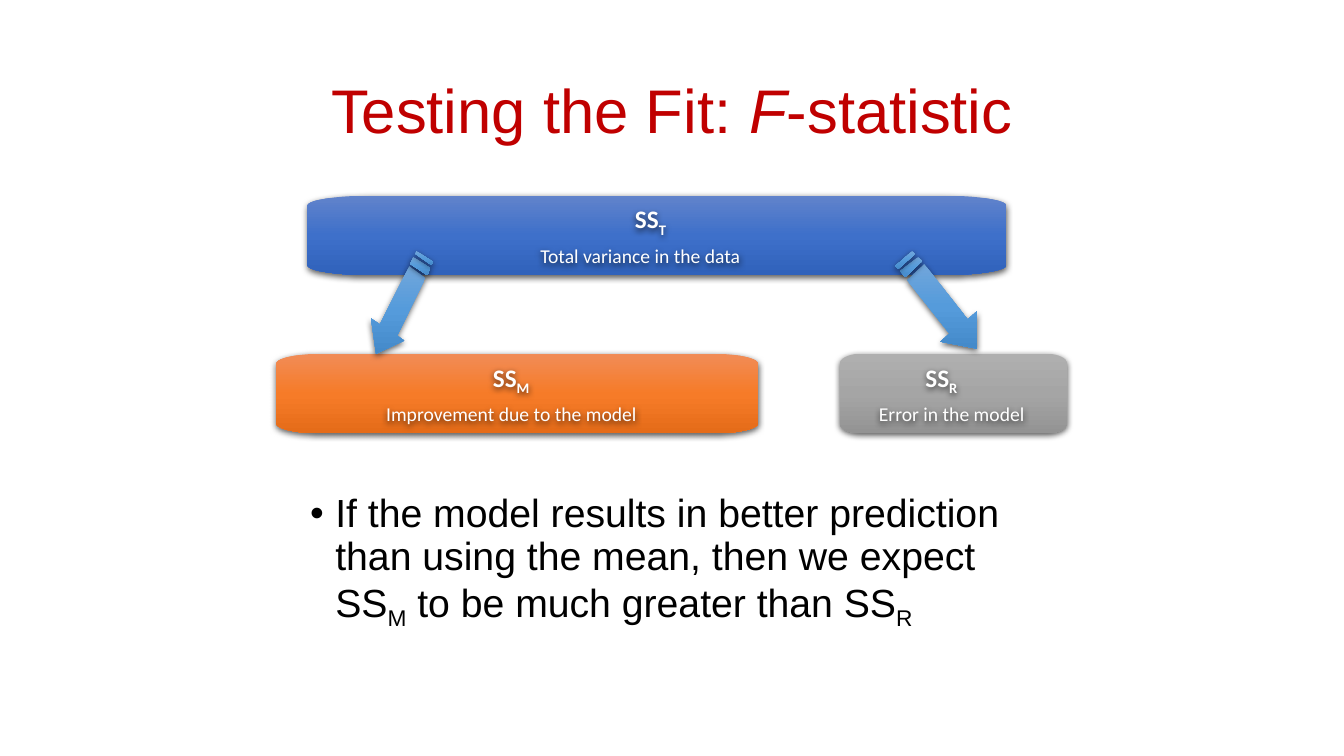
from copy import deepcopy
from math import cos, radians, sin

from lxml import etree
from pptx import Presentation
from pptx.dml.color import RGBColor
from pptx.enum.text import MSO_ANCHOR, PP_ALIGN
from pptx.oxml.ns import qn
from pptx.util import Pt

CENTER, LEFT = PP_ALIGN.CENTER, PP_ALIGN.LEFT
MIDDLE, TOP = MSO_ANCHOR.MIDDLE, MSO_ANCHOR.TOP

RED = RGBColor(0xC0, 0x00, 0x00)
BLACK = RGBColor(0x00, 0x00, 0x00)
WHITE = RGBColor(0xFF, 0xFF, 0xFF)
BLUES = [RGBColor(0x61, 0x83, 0xCB), RGBColor(0x3E, 0x70, 0xCA), RGBColor(0x30, 0x62, 0xBB)]
ORANGES = [RGBColor(0xF1, 0x8C, 0x57), RGBColor(0xF6, 0x7B, 0x28), RGBColor(0xE5, 0x6C, 0x19)]
GRAYS = [RGBColor(0xAF, 0xAF, 0xAF), RGBColor(0xA5, 0xA5, 0xA5), RGBColor(0x93, 0x93, 0x93)]
ARROW_BLUES = [RGBColor(0x71, 0xA6, 0xDB), RGBColor(0x55, 0x9B, 0xDB), RGBColor(0x44, 0x8A, 0xCA)]

BOX_HEIGHT = 56.9
CORNER_HEIGHT = 7.2

presentation = Presentation()
presentation.slide_width, presentation.slide_height = Pt(960), Pt(540)
slide = presentation.slides.add_slide(presentation.slide_layouts[6])


def add_outline(points, colors):
    """Draw a closed outline with a vertical gradient and a soft shadow."""
    corners = [(Pt(x), Pt(y)) for x, y in points]
    builder = slide.shapes.build_freeform(*corners[0])
    builder.add_line_segments(corners[1:], close=True)
    shape = builder.convert_to_shape()
    shape.line.fill.background()
    shape.fill.gradient()
    shape.fill.gradient_angle = 270
    stop_list = shape._element.spPr.find(".//" + qn("a:gsLst"))
    stop_list.append(deepcopy(stop_list[0]))
    for stop, position, color in zip(shape.fill.gradient_stops, (0, 0.5, 1), colors):
        stop.position = position
        stop.color.rgb = color
    add_shadow_to.append(shape)


def add_text(frame, runs, size, color, font="Calibri", bold=False,
             align=LEFT, anchor=TOP, inset=(0, 0), bullet=False):
    """Add a one-paragraph text box; runs are (text, style) pairs."""
    box = slide.shapes.add_textbox(*[Pt(length) for length in frame])
    text_frame = box.text_frame
    text_frame.word_wrap = True
    text_frame.vertical_anchor = anchor
    text_frame.margin_left = text_frame.margin_right = Pt(inset[0])
    text_frame.margin_top = text_frame.margin_bottom = Pt(inset[1])
    paragraph = text_frame.paragraphs[0]
    paragraph.alignment = align
    if font == "Arial":
        paragraph.line_spacing = 0.9
    if bullet:
        properties = paragraph._p.get_or_add_pPr()
        properties.set("marL", str(Pt(18)))
        properties.set("indent", str(-Pt(18)))
        etree.SubElement(properties, qn("a:buFont"), typeface="Arial")
        etree.SubElement(properties, qn("a:buChar"), char="•")
    paragraph.font.name, paragraph.font.size = font, Pt(size)
    paragraph.font.color.rgb, paragraph.font.bold = color, bold
    for text, style in runs:
        run = paragraph.add_run()
        run.text = text
        if style == "italic":
            run.font.italic = True
        elif style == "subscript":
            run._r.get_or_add_rPr().set("baseline", "-25000")
    if font == "Calibri":
        add_shadow_to.append(box)


add_shadow_to = []

# Title and conclusion
add_text((66, 28.8, 828, 104.4),
         [("Testing the Fit: ", ""), ("F", "italic"), ("-statistic", "")],
         44, RED, "Arial", align=CENTER, anchor=MIDDLE, inset=(7.2, 3.6))
add_text((214.5, 349.2, 545, 133.2),
         [("If the model results in better prediction than using the mean, then we expect SS", ""),
          ("M", "subscript"), (" to be much greater than SS", ""), ("R", "subscript")],
         28, BLACK, "Arial", inset=(7.2, 3.6), bullet=True)

# Sum-of-squares boxes: left, top, width, corner width, colours,
# subscript, label left, description, description left, description width
boxes = [
    (599.8, 252.7, 162.7, 15.1, GRAYS, "R", 661, "Error in the model", 627.8, 111.6),
    (197.3, 252.7, 344.2, 32.4, ORANGES, "M", 352.1, "Improvement due to the model", 275.8, 189.4),
    (219.6, 139.7, 499.3, 46.8, BLUES, "T", 453.6, "Total variance in the data", 385.9, 157),
]
for (left, top, width, corner, colors, letter, label_left,
     description, description_left, description_width) in boxes:
    right, bottom = left + width, top + BOX_HEIGHT
    centers = [(right - corner, bottom - CORNER_HEIGHT), (left + corner, bottom - CORNER_HEIGHT),
               (left + corner, top + CORNER_HEIGHT), (right - corner, top + CORNER_HEIGHT)]
    outline = [(x + corner * cos(radians(angle)), y + CORNER_HEIGHT * sin(radians(angle)))
               for quarter, (x, y) in enumerate(centers)
               for angle in range(90 * quarter, 90 * quarter + 91, 9)]
    add_outline(outline, colors)
    add_text((label_left, top + 5.8, 33.8, 21.6), [("SS", ""), (letter, "subscript")],
             18, WHITE, bold=True)
    add_text((description_left, top + 34.6, description_width, 17.3), [(description, "")],
             14, WHITE)

# Striped arrows: head with shaft, wide stripe, narrow stripe
arrow_parts = [
    [(288.7, 243.4), (283.7, 239.8), (303.8, 198.7), (292.3, 190.1),
     (271.4, 231.8), (265, 227.5), (268.6, 252.7)],
    [(307.4, 191.5), (295.2, 183.6), (293, 188.6), (305.3, 196.6)],
    [(309.6, 187.2), (297.4, 179.3), (296.6, 181.4), (308.2, 189.4)],
    [(697.7, 222.5), (691.2, 228.2), (660.2, 188.6), (648, 200.2),
     (678.2, 238.3), (671.8, 244.1), (697.7, 249.1)],
    [(655.9, 183.6), (643, 193.7), (646.6, 198), (658.8, 186.5)],
    [(651.6, 179.3), (639.4, 190.1), (641.5, 192.2), (653.8, 181.4)],
]
for part in arrow_parts:
    add_outline(part, ARROW_BLUES)

# Soft shadows under the diagram
for shape in add_shadow_to:
    shape.shadow.inherit = False
    effects = shape._element.spPr.find(qn("a:effectLst"))
    shadow = etree.SubElement(effects, qn("a:outerShdw"), blurRad=str(Pt(4.5)),
                              dist=str(Pt(1.5)), dir="5400000", rotWithShape="0")
    shadow_color = etree.SubElement(shadow, qn("a:srgbClr"), val=str(BLACK))
    etree.SubElement(shadow_color, qn("a:alpha"), val="63000")

presentation.save("out.pptx")
